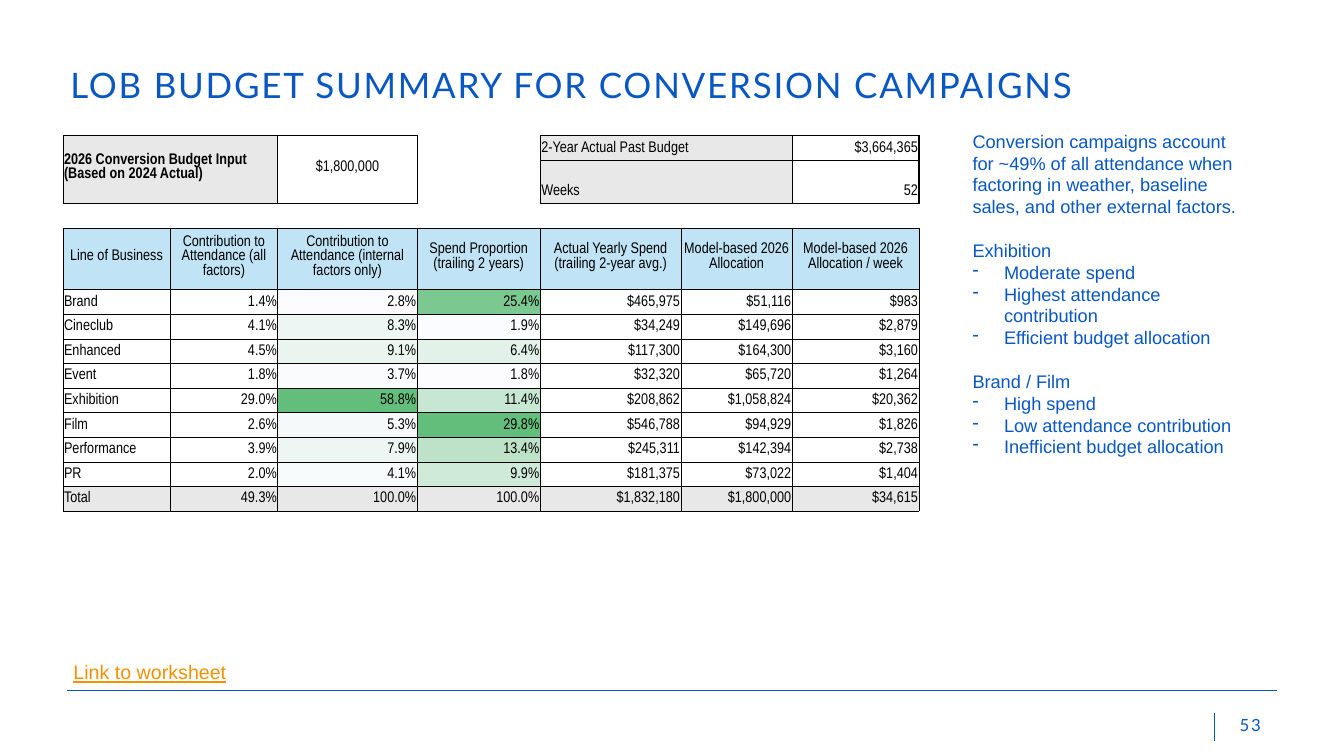
import pptx
import pptx.dml.color
import pptx.enum.shapes
import pptx.enum.text
import pptx.oxml
import pptx.oxml.ns
import pptx.util

Pt = pptx.util.Pt
RGBColor = pptx.dml.color.RGBColor
ALIGN = pptx.enum.text.PP_ALIGN
ANCHOR = pptx.enum.text.MSO_ANCHOR
qn = pptx.oxml.ns.qn
NAMESPACE = pptx.oxml.ns.nsdecls("a")

BLUE = RGBColor(0x08, 0x57, 0xC3)
ORANGE = RGBColor(0xF4, 0x91, 0x00)
BLACK = RGBColor(0x00, 0x00, 0x00)
WHITE = RGBColor(0xFF, 0xFF, 0xFF)
GREY = RGBColor(0xE8, 0xE8, 0xE8)
SKY = RGBColor(0xC0, 0xE4, 0xF5)
SCALE_LOW = RGBColor(0xFC, 0xFC, 0xFF)
SCALE_HIGH = RGBColor(0x63, 0xBE, 0x7B)

COLUMN_WIDTHS = [76.5, 77, 99.5, 88, 100.5, 79.5, 90.5]
ROW_HEIGHTS = [17.6, 30.7, 17.6, 43.9] + [17.6] * 9
HEADER_ROW, FIRST_ROW, TOTAL_ROW = 3, 4, 12
HEADERS = ["Line of Business", "Contribution to Attendance (all factors)",
           "Contribution to Attendance (internal factors only)",
           "Spend Proportion (trailing 2 years)",
           "Actual Yearly Spend (trailing 2-year avg.)",
           "Model-based 2026 Allocation", "Model-based 2026 Allocation / week"]
BUDGETS = [
    ["Brand", "1.4%", "2.8%", "25.4%", "$465,975", "$51,116", "$983"],
    ["Cineclub", "4.1%", "8.3%", "1.9%", "$34,249", "$149,696", "$2,879"],
    ["Enhanced", "4.5%", "9.1%", "6.4%", "$117,300", "$164,300", "$3,160"],
    ["Event", "1.8%", "3.7%", "1.8%", "$32,320", "$65,720", "$1,264"],
    ["Exhibition", "29.0%", "58.8%", "11.4%", "$208,862", "$1,058,824", "$20,362"],
    ["Film", "2.6%", "5.3%", "29.8%", "$546,788", "$94,929", "$1,826"],
    ["Performance", "3.9%", "7.9%", "13.4%", "$245,311", "$142,394", "$2,738"],
    ["PR", "2.0%", "4.1%", "9.9%", "$181,375", "$73,022", "$1,404"],
    ["Total", "49.3%", "100.0%", "100.0%", "$1,832,180", "$1,800,000", "$34,615"],
]
FINDINGS = {
    "Exhibition": ["Moderate spend", "Highest attendance contribution",
                   "Efficient budget allocation"],
    "Brand / Film": ["High spend", "Low attendance contribution",
                     "Inefficient budget allocation"],
}


def write_text(paragraph, text, *, size, font="Arial", color=BLUE, bold=False,
               underline=False, spacing=0, align=ALIGN.LEFT, before=0, bullet=None):
    """Add one formatted span to a paragraph."""
    if bullet:
        properties = paragraph._p.get_or_add_pPr()
        properties.set("marL", str(Pt(22.5)))
        properties.set("indent", str(Pt(-22.5)))
        properties.append(pptx.oxml.parse_xml(f'<a:buChar {NAMESPACE} char="{bullet}"/>'))
    paragraph.alignment = align
    paragraph.space_before = Pt(before)
    span = paragraph.add_run()
    span.text = text
    span.font.size, span.font.name = Pt(size), font
    span.font.bold, span.font.underline = bold, underline
    span.font.color.rgb = color
    if spacing:
        span._r.get_or_add_rPr().set("spc", str(round(spacing * 100)))


def scale_color(column, text):
    """Shade a percentage between the lowest and highest of its column."""
    values = [float(row[column].rstrip("%")) for row in BUDGETS[:-1]]
    share = (float(text.rstrip("%")) - min(values)) / (max(values) - min(values))
    return RGBColor(*(round(low + share * (high - low))
                      for low, high in zip(SCALE_LOW, SCALE_HIGH)))


class Page:
    def __init__(self, deck):
        self.slide = deck.slides.add_slide(deck.slide_layouts[6])
        self.heading = {"font": "Lato", "spacing": 1.3}
        self.cell_style = {"font": "Arial Narrow", "size": 11, "color": BLACK}

    def line(self, left, top, right, bottom):
        line = self.slide.shapes.add_connector(
            pptx.enum.shapes.MSO_CONNECTOR.STRAIGHT,
            Pt(left), Pt(top), Pt(right), Pt(bottom))
        line.line.color.rgb = BLUE
        line.line.width = Pt(0.75)
        line._element.spPr.append(pptx.oxml.parse_xml(f"<a:effectLst {NAMESPACE}/>"))

    def text(self, left, top, width, height, paragraphs, wrap=True, anchor=ANCHOR.TOP):
        box = self.slide.shapes.add_textbox(Pt(left), Pt(top), Pt(width), Pt(height))
        frame = box.text_frame
        frame.word_wrap = wrap
        frame.vertical_anchor = anchor
        for index, (text, style) in enumerate(paragraphs):
            para = frame.add_paragraph() if index else frame.paragraphs[0]
            write_text(para, text, **style)

    def table(self, left, top, widths, heights):
        table = self.slide.shapes.add_table(
            len(heights), len(widths), Pt(left), Pt(top),
            Pt(sum(widths)), Pt(sum(heights))).table
        table.first_row = table.horz_banding = False
        for column, width in zip(table.columns, widths):
            column.width = Pt(width)
        for row, height in zip(table.rows, heights):
            row.height = Pt(height)
        return table

    def cell(self, cell, text="", fill=None, borders=(0, 0, 0, 0),
             anchor=ANCHOR.BOTTOM, **style):
        """Fill one cell; borders are left, right, top, bottom widths."""
        cell.margin_left = cell.margin_right = cell.margin_top = Pt(0.75)
        cell.margin_bottom = Pt(3.6)
        cell.vertical_anchor = anchor
        for side, width in zip("LRTB", borders):
            paint = (f'<a:solidFill><a:srgbClr val="{BLACK}"/></a:solidFill>'
                     if width else "<a:noFill/>")
            cell._tc.get_or_add_tcPr().append(pptx.oxml.parse_xml(
                f'<a:ln{side} {NAMESPACE} w="{Pt(width)}">{paint}</a:ln{side}>'))
        if fill is None:
            cell.fill.background()
        else:
            cell.fill.solid()
            cell.fill.fore_color.rgb = fill
        for index, words in enumerate(text.split("\n")):
            para = cell.text_frame.paragraphs[0] if not index else cell.text_frame.add_paragraph()
            if words:
                write_text(para, words, **self.cell_style, **style)
            else:
                para._p.append(pptx.oxml.parse_xml(f'<a:endParaRPr {NAMESPACE} sz="800"/>'))


def fill_inputs(page, table):
    """Budget inputs above the grid, and the empty row below them."""
    thin, thick = (0.75,) * 4, (1,) * 4
    table.cell(0, 0).merge(table.cell(1, 1))
    table.cell(0, 2).merge(table.cell(1, 2))
    contents = {
        (0, 0): {"text": "2026 Conversion Budget Input\n(Based on 2024 Actual)",
                 "bold": True, "anchor": ANCHOR.MIDDLE},
        (0, 2): {"text": "$1,800,000", "align": ALIGN.CENTER, "anchor": ANCHOR.MIDDLE},
    }
    for row, (label, value) in enumerate([("2-Year Actual Past Budget", "$3,664,365"),
                                          ("Weeks", "52")]):
        table.cell(row, 4).merge(table.cell(row, 5))
        contents[row, 4] = {"text": label}
        contents[row, 6] = {"text": value, "align": ALIGN.RIGHT}
        for column in range(7):
            if column == 3:
                look = {"fill": WHITE, "borders": (0.75, 1, 0, 0)}
            else:
                look = {"fill": None if column in (2, 6) else GREY,
                        "borders": thin if column < 3 else thick}
            page.cell(table.cell(row, column), **look, **contents.get((row, column), {}))
    for column in range(7):
        above = 0 if column == 3 else 0.75 if column < 3 else 1
        below = 1 if 2 <= column <= 5 else 0.5
        page.cell(table.cell(2, column), fill=WHITE, borders=(0, 0, above, below))


def fill_budgets(page, table):
    """Header, lines of business and total."""
    for row, values in enumerate([HEADERS] + BUDGETS, HEADER_ROW):
        for column, text in enumerate(values):
            inner = 2 <= column <= 5
            borders = (1 if column in (2, 4, 6) else 0.5,
                       1 if column in (1, 3, 5) else 0.5,
                       1 if inner and row == HEADER_ROW else 0.5,
                       1 if inner and row == TOTAL_ROW else 0.5)
            look = {"align": ALIGN.RIGHT if column else ALIGN.LEFT}
            if row == HEADER_ROW:
                look = {"fill": SKY, "align": ALIGN.CENTER, "anchor": ANCHOR.MIDDLE}
            elif row == TOTAL_ROW:
                look["fill"] = GREY
            elif column in (2, 3):
                look["fill"] = scale_color(column, text)
            page.cell(table.cell(row, column), text, borders=borders, **look)


def main():
    deck = pptx.Presentation()
    deck.slide_width, deck.slide_height = Pt(960), Pt(540)
    page = Page(deck)

    # Footer
    page.line(867.6, 509, 867.6, 529.2)
    page.line(48, 493, 912, 493)
    page.text(878.4, 507, 31.7, 21.6, [("53", {"size": 12, **page.heading})], wrap=False)

    # Title and worksheet label
    page.text(43.2, 23, 857.5, 74.2, [("LOB BUDGET SUMMARY FOR CONVERSION CAMPAIGNS",
                                       {"size": 25, **page.heading})], anchor=ANCHOR.MIDDLE)
    page.text(45.4, 468, 173.5, 24.5, [("Link to worksheet", {
        "size": 14, "color": ORANGE, "underline": True, "align": ALIGN.JUSTIFY})])

    # Budget table
    table = page.table(45, 97, COLUMN_WIDTHS, ROW_HEIGHTS)
    fill_inputs(page, table)
    fill_budgets(page, table)

    # Findings
    notes = [("Conversion campaigns account for ~49% of all attendance when factoring in "
              "weather, baseline sales, and other external factors.", {"size": 13})]
    for heading, points in FINDINGS.items():
        notes.append((heading, {"size": 13, "before": 15.5}))
        notes += [(point, {"size": 13, "bullet": "-"}) for point in points]
    page.text(687.6, 89.3, 213, 291, notes)

    deck.save("out.pptx")


if __name__ == "__main__":
    main()
